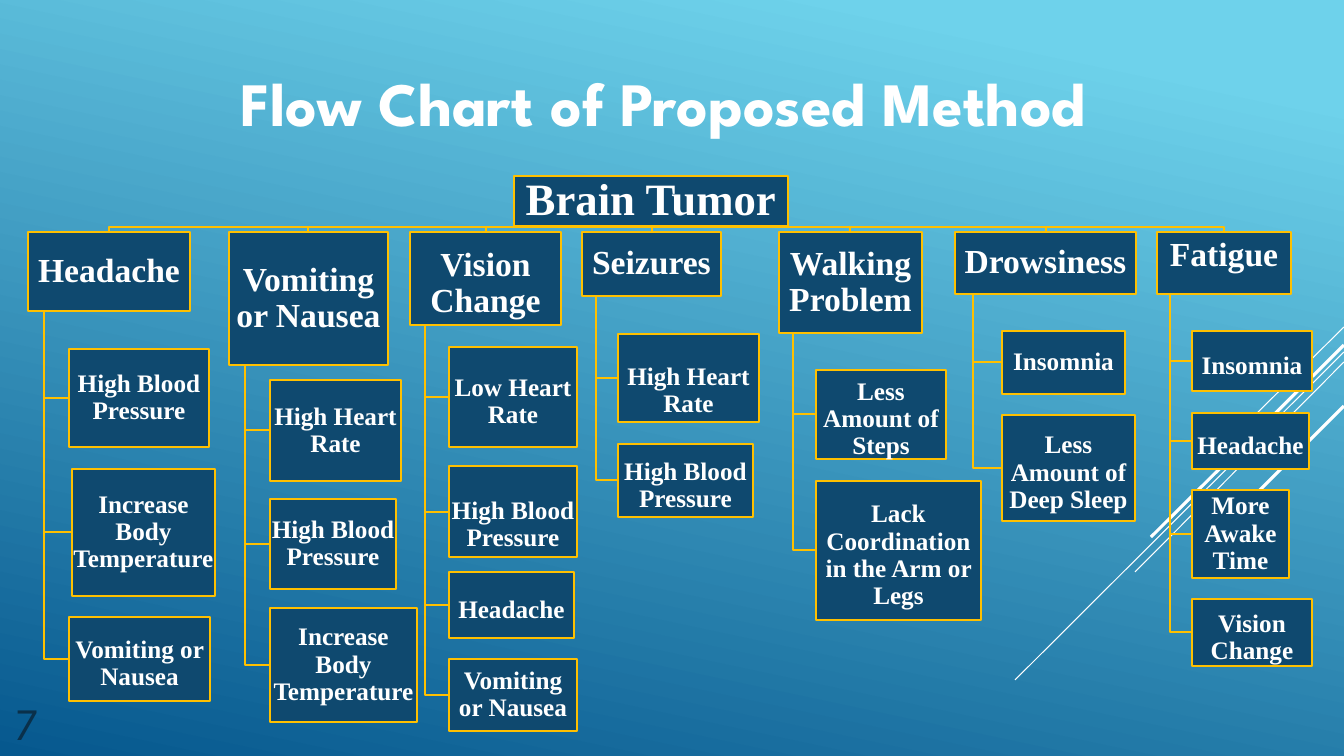
from lxml.etree import SubElement
from pptx import Presentation
from pptx.dml.color import RGBColor
from pptx.enum.shapes import MSO_CONNECTOR as CONNECTOR, MSO_SHAPE as SHAPE
from pptx.enum.text import MSO_ANCHOR as ANCHOR, PP_ALIGN as ALIGN
from pptx.oxml.ns import qn
from pptx.util import Emu, Pt

COLORS = {"sky": "6ED2EB", "deep": "06588E", "box": "0F496F",
          "gold": "FFC000", "white": "FFFFFF", "number": "0A304A"}
TITLE_FONT = "League Spartan"
CHART_FONT = "Times New Roman"
PX = 914400 / 100.8

TITLE = ("Flow Chart of Proposed Method", (76, 49, 1176, 106))
NUMBER = ("7", (1, 694, 48, 60))
ROOT = ("Brain Tumor", (514, 176, 274, 50), 0)

# text, (left, top, width, height), downward shift of the text
BRANCHES = [
    (("Headache", (28, 232, 162, 79), 0), [
        ("High Blood Pressure", (69, 349, 140, 98), 0),
        ("Increase Body Temperature", (72, 469, 143, 127), 0),
        ("Vomiting or Nausea", (69, 617, 141, 84), 5)]),
    (("Vomiting or Nausea", (229, 232, 159, 133), 0), [
        ("High Heart Rate", (270, 380, 131, 101), 0),
        ("High Blood Pressure", (270, 499, 126, 90), 0),
        ("Increase Body Temperature", (270, 608, 147, 114), 0)]),
    (("Vision Change", (410, 232, 151, 93), 5), [
        ("Low Heart Rate", (449, 347, 128, 100), 5),
        ("High Blood Pressure", (449, 466, 128, 91), 13),
        ("Headache", (449, 572, 125, 66), 5),
        ("Vomiting or Nausea", (449, 659, 128, 72), 0)]),
    (("Seizures", (582, 232, 139, 64), 0), [
        ("High Heart Rate", (618, 334, 141, 88), 13),
        ("High Blood Pressure", (618, 444, 135, 73), 5)]),
    (("Walking Problem", (779, 232, 143, 101), 0), [
        ("Less Amount of Steps", (816, 370, 130, 89), 5),
        ("Lack Coordination in the Arm or Legs", (816, 481, 165, 139), 5)]),
    (("Drowsiness", (955, 232, 181, 62), 0), [
        ("Insomnia", (1002, 331, 123, 63), 0),
        ("Less Amount of Deep Sleep", (1002, 415, 133, 106), 5)]),
    (("Fatigue", (1157, 232, 134, 62), -7), [
        ("Insomnia", (1192, 331, 120, 60), 5),
        ("Headache", (1192, 413, 117, 56), 5),
        ("More Awake Time", (1192, 490, 97, 88), 0),
        ("Vision Change", (1192, 599, 120, 67), 5)]),
]

RAYS = [
    ((1344, 327), (1243, 427), 0.75),
    ((1344, 352), (1015, 680), 0.75),
    ((1344, 362), (1135, 572), 0.75),
    ((1344, 345), (1151, 537), 2.25),
    ((1344, 406), (1204, 546), 2.25),
]


def px(length):
    return Emu(round(length * PX))


def color(name):
    return RGBColor.from_string(COLORS[name])


def stroke(line, name, width):
    line.color.rgb = color(name)
    line.width = Pt(width)


def write(shape, text, font, size, ink, align, bold=True):
    frame = shape.text_frame
    frame.text = text
    frame.word_wrap = True
    para = frame.paragraphs[0]
    para.alignment = align
    span = para.runs[0].font
    span.name, span.size, span.bold = font, Pt(size), bold
    span.color.rgb = color(ink)
    return frame


def add_label(page, text, place, size, ink, align, anchor, bold):
    label = page.shapes.add_textbox(*map(px, place))
    frame = write(label, text, TITLE_FONT, size, ink, align, bold)
    frame.vertical_anchor = anchor


def add_box(page, node, size):
    text, place, shift = node
    box = page.shapes.add_shape(SHAPE.RECTANGLE, *map(px, place))
    box.shadow.inherit = False
    box.fill.solid()
    box.fill.fore_color.rgb = color("box")
    stroke(box.line, "gold", 1.25)
    frame = write(box, text, CHART_FONT, size, "white", ALIGN.CENTER)
    frame.vertical_anchor = ANCHOR.MIDDLE
    frame.paragraphs[0].line_spacing = 0.9
    frame.margin_left = frame.margin_right = 0
    frame.margin_top = px(max(0, 2 * shift))
    frame.margin_bottom = px(max(0, -2 * shift))


def add_elbow(page, start, corner, end):
    builder = page.shapes.build_freeform(*start, scale=PX)
    builder.add_line_segments([corner, end], close=False)
    elbow = builder.convert_to_shape()
    elbow.shadow.inherit = False
    elbow.fill.background()
    stroke(elbow.line, "gold", 1.25)


def add_ray(page, start, end, width):
    ray = page.shapes.add_connector(CONNECTOR.STRAIGHT, *map(px, start + end))
    stroke(ray.line, "white", width)
    SubElement(ray._element.spPr, qn("a:effectLst"))


def paint_background(page):
    fill = page.background.fill
    fill.gradient()
    fill.gradient_angle = 258
    for stop, name, position in zip(fill.gradient_stops, ("sky", "deep"), (0.1, 1)):
        stop.color.rgb = color(name)
        stop.position = position


def add_chart_lines(page):
    left, top, width, height = ROOT[1]
    hub = (left + width / 2, top + height + 1)
    for (_, place, _), children in BRANCHES:
        left, top, width, height = place
        middle = left + width / 2
        add_elbow(page, hub, (middle, hub[1]), (middle, top))
        trunk = left + width / 10
        for _, child, _ in children:
            level = child[1] + child[3] / 2
            add_elbow(page, (trunk, top + height), (trunk, level), (child[0], level))


def main():
    deck = Presentation()
    deck.slide_width, deck.slide_height = px(1344), px(756)
    page = deck.slides.add_slide(deck.slide_layouts[6])
    paint_background(page)
    for ray in RAYS:
        add_ray(page, *ray)
    add_label(page, *TITLE, 44, "white", ALIGN.CENTER, ANCHOR.MIDDLE, True)
    add_chart_lines(page)
    add_box(page, ROOT, 32)
    for head, children in BRANCHES:
        add_box(page, head, 24)
        for child in children:
            add_box(page, child, 18)
    add_label(page, *NUMBER, 32, "number", ALIGN.RIGHT, ANCHOR.BOTTOM, False)
    deck.save("out.pptx")


if __name__ == "__main__":
    main()
